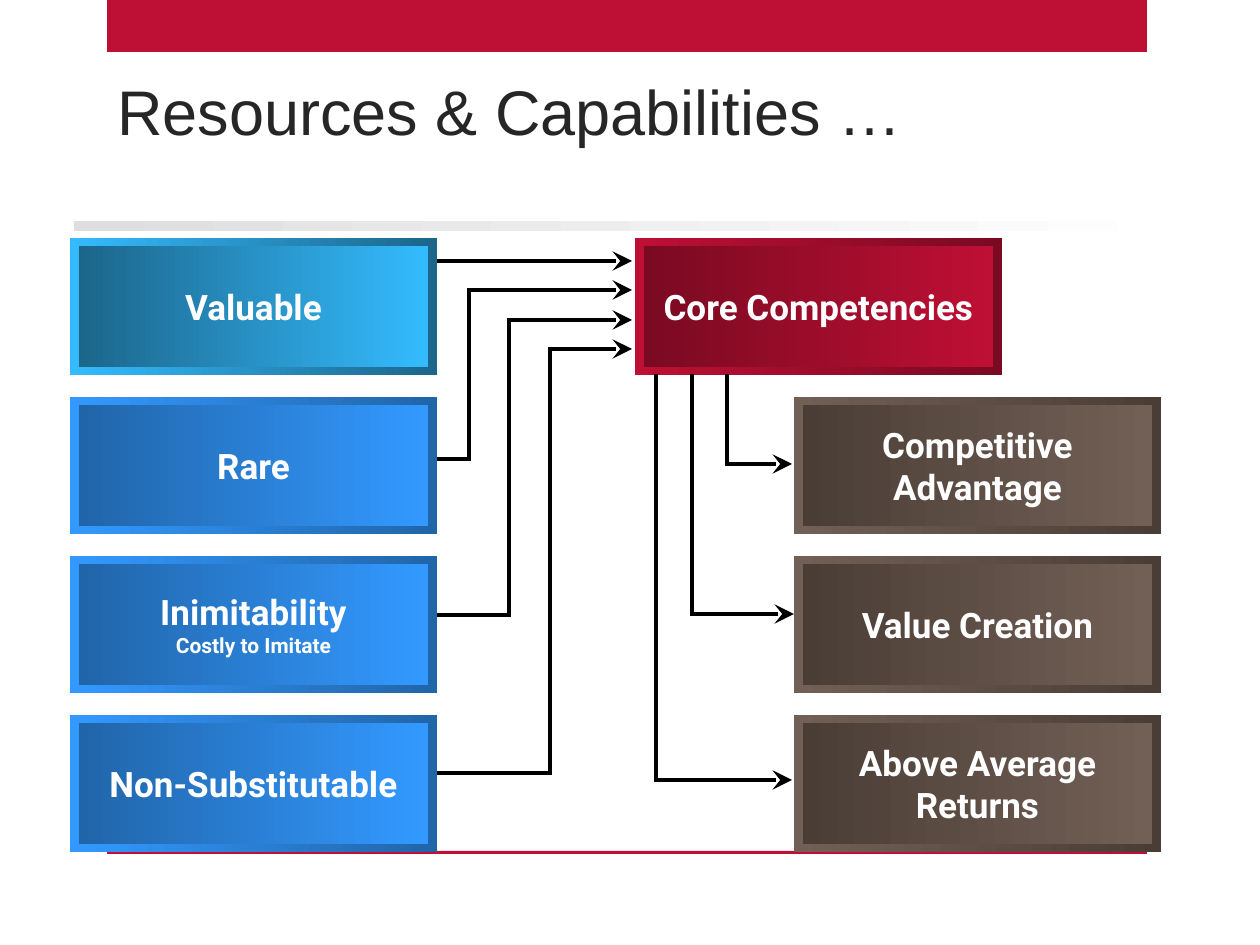
"""Build the slide on resources, capabilities and core competencies."""
from itertools import pairwise

from lxml.etree import SubElement
from pptx import Presentation
from pptx.dml.color import RGBColor as Rgb
from pptx.enum.shapes import MSO_CONNECTOR as Conn, MSO_SHAPE as Shape
from pptx.enum.text import MSO_ANCHOR as Anchor, PP_ALIGN as Align
from pptx.oxml.ns import qn
from pptx.util import Pt

SCALE = 914400 // 126
TOP, STEP = 238, 159
WIDE, HIGH = 367, 137
RED = "BE0F34"
SKY = ("34BBFE", "1C668A")
BLUE = ("3399FF", "2165A9")
BROWN = ("726056", "4A3D36")
WINE = (RED, "7A0A22")


def px(*nums):
    """Turn pixel lengths into EMU."""
    return [num * SCALE for num in nums]


def paint(text):
    """Turn a hex string into a colour."""
    return Rgb.from_string(text)


def add_bar(slide, area, *hues):
    """Add a rectangle with a flat fill or a left-to-right gradient."""
    bar = slide.shapes.add_shape(Shape.RECTANGLE, *px(*area))
    bar.shadow.inherit = False
    bar.line.fill.background()
    if len(hues) == 1:
        bar.fill.solid()
        bar.fill.fore_color.rgb = paint(hues[0])
    else:
        bar.fill.gradient()
        bar.fill.gradient_angle = 0
        for stop, hue in zip(bar.fill.gradient_stops, hues):
            stop.color.rgb = paint(hue)
    return bar


def style(para, size, face, hue, bold=False):
    """Set the font of a paragraph."""
    font = para.font
    font.size, font.name, font.bold = Pt(size), face, bold
    font.color.rgb = paint(hue)


def add_box(slide, left, row, hues, text, note=None):
    """Add a bevelled box: a gradient frame around its reverse."""
    top = TOP + row * STEP
    light, dark = hues
    add_bar(slide, (left, top, WIDE, HIGH), light, dark)
    face = add_bar(slide, (left + 9, top + 8, WIDE - 18, HIGH - 16), dark, light)
    frame = face.text_frame
    frame.word_wrap = True
    frame.vertical_anchor = Anchor.MIDDLE
    para = frame.paragraphs[0]
    para.text = text
    style(para, 20, "Roboto", "FFFFFF", True)
    if note:
        extra = frame.add_paragraph()
        extra.text = note
        style(extra, 12, "Roboto", "FFFFFF", True)
    for para in frame.paragraphs:
        para.alignment = Align.CENTER


def add_route(slide, *points):
    """Add straight lines through the points, ending in an arrowhead."""
    for start, end in pairwise(points):
        line = slide.shapes.add_connector(Conn.STRAIGHT, *px(*start, *end))
        line.line.width = Pt(2.25)
        line.line.color.rgb = paint("000000")
        props = line.line._get_or_add_ln()
        props.set("cap", "sq")
        if end == points[-1]:
            SubElement(props, qn("a:tailEnd"), type="stealth", w="lg", len="lg")
        SubElement(line._element.spPr, qn("a:effectLst"))


def add_title(slide, text):
    """Add the slide title."""
    box = slide.shapes.add_textbox(*px(105, 66, 935, 128))
    box.text_frame.word_wrap = True
    para = box.text_frame.paragraphs[0]
    para.text = text
    style(para, 36, "Arial", "262626")


def main():
    """Build and save the slide."""
    deck = Presentation()
    deck.slide_width, deck.slide_height = px(1260, 945)
    slide = deck.slides.add_slide(deck.slide_layouts[6])
    add_bar(slide, (107, 0, 1040, 52), RED)
    add_bar(slide, (107, 851, 1040, 3), RED)
    add_title(slide, "Resources & Capabilities …")

    add_box(slide, 635, 0, WINE, "Core Competencies")
    gains = ("Competitive Advantage", "Value Creation", "Above Average Returns")
    for row, text in enumerate(gains, 1):
        add_box(slide, 794, row, BROWN, text)

    add_route(slide, (431, 261), (632, 261))
    for bend, low, high in ((469, 459, 290), (509, 615, 320), (550, 773, 349)):
        add_route(slide, (431, low), (bend, low), (bend, high), (632, high))

    traits = (
        (SKY, "Valuable"),
        (BLUE, "Rare"),
        (BLUE, "Inimitability", "Costly to Imitate"),
        (BLUE, "Non-Substitutable"),
    )
    for row, trait in enumerate(traits):
        add_box(slide, 70, row, *trait)

    for bend, low, tip in ((656, 780, 792), (692, 614, 794), (727, 464, 792)):
        add_route(slide, (bend, 376), (bend, low), (tip, low))
    add_bar(slide, (74, 221, 1113, 10), "DEDEE0", "FFFFFF")
    deck.save("out.pptx")


if __name__ == "__main__":
    main()
